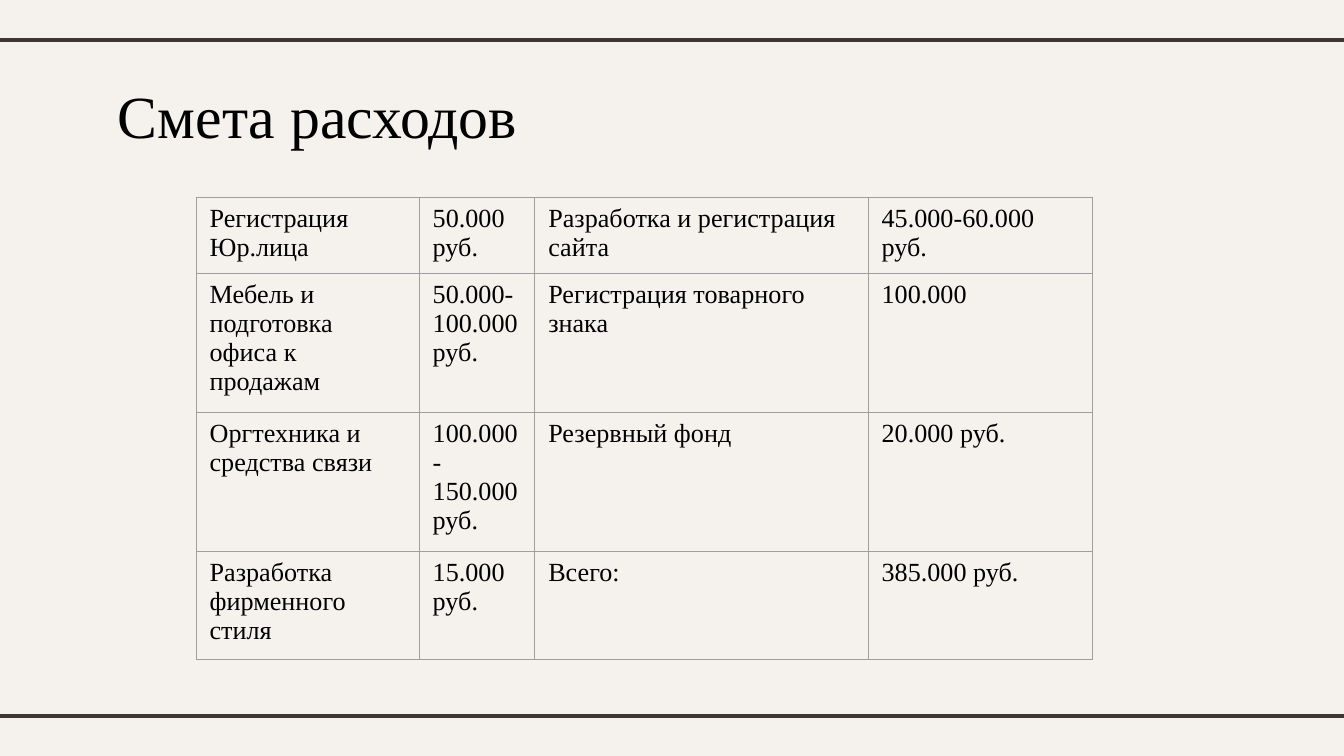
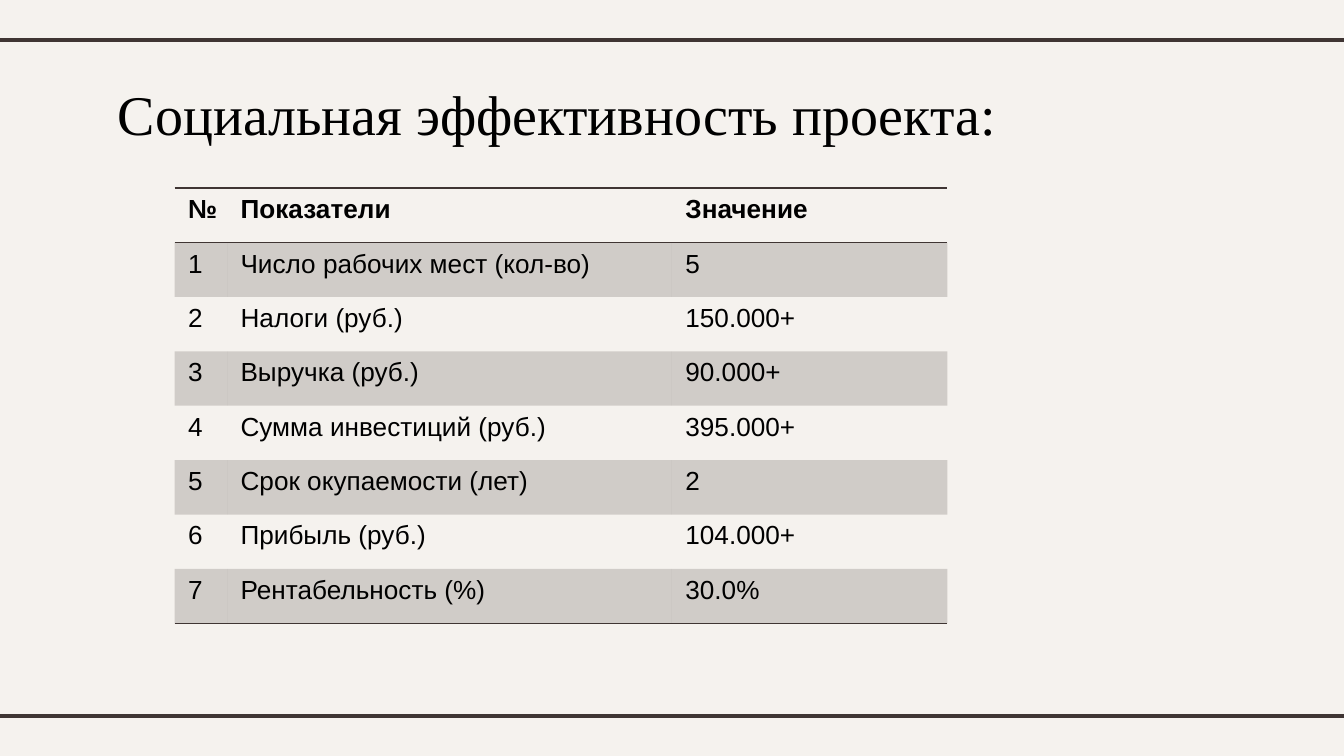
"""Build two slides: the cost estimate and the social effectiveness of the project."""
from dataclasses import dataclass

from lxml.etree import SubElement
from pptx import Presentation
from pptx.dml.color import RGBColor
from pptx.enum.shapes import MSO_CONNECTOR as Connector
from pptx.oxml.ns import qn
from pptx.util import Inches, Pt


@dataclass(frozen=True)
class Theme:
    paper: str = "F5F2EE"
    accent: str = "3F3533"
    grid: str = "9E9E9E"
    ink: str = "000000"
    serif: str = "Times New Roman"
    sans: str = "Arial"
    body_size: int = 14
    rule_width: float = 2.25
    band_opacity: int = 20
    plain_table: str = "{2D5ABB26-0587-4C30-8999-92F81FD0307C}"


THEME = Theme()
WIDTH = 10
HEIGHT = WIDTH * 9 / 16
RULE_TOPS = (0.3, 5.33)
RULE_OVERHANG = 0.08
TITLE_BOX = (0.78, 0.49, 8.44, 0.63)
ROW_HEIGHT = 3.24 / 8

COSTS = {
    "title": "Смета расходов",
    "title_size": 32,
    "box": (1.46, 1.47, 6.67, 3.43),
    "columns": (1.66, 0.86, 2.48, 1.67),
    "font": THEME.serif,
    "ruled": False,
    "rows": [
        ("Регистрация Юр.лица", "50.000 руб.",
         "Разработка и регистрация сайта", "45.000-60.000 руб."),
        ("Мебель и подготовка офиса к продажам", "50.000-100.000 руб.",
         "Регистрация товарного знака", "100.000"),
        ("Оргтехника и средства связи", "100.000-150.000 руб.",
         "Резервный фонд", "20.000 руб."),
        ("Разработка фирменного стиля", "15.000 руб.",
         "Всего:", "385.000 руб."),
    ],
}

EFFECTIVENESS = {
    "title": "Социальная эффективность проекта:",
    "title_size": 30,
    "box": (1.3, 1.4, 5.75, 3.24),
    "columns": (0.39, 3.31, 2.05),
    "font": THEME.sans,
    "ruled": True,
    "rows": [
        ("№", "Показатели", "Значение"),
        ("1", "Число рабочих мест (кол-во)", "5"),
        ("2", "Налоги (руб.)", "150.000+"),
        ("3", "Выручка (руб.)", "90.000+"),
        ("4", "Сумма инвестиций (руб.)", "395.000+"),
        ("5", "Срок окупаемости (лет)", "2"),
        ("6", "Прибыль (руб.)", "104.000+"),
        ("7", "Рентабельность (%)", "30.0%"),
    ],
}


def style_text(paragraph, font_name, size, bold=False):
    font = paragraph.font
    font.name, font.size, font.bold = font_name, Pt(size), bold
    font.color.rgb = RGBColor.from_string(THEME.ink)


def add_rules(slide):
    for top in RULE_TOPS:
        rule = slide.shapes.add_connector(
            Connector.STRAIGHT, Inches(-RULE_OVERHANG), Inches(top),
            Inches(WIDTH + RULE_OVERHANG), Inches(top))
        rule.line.color.rgb = RGBColor.from_string(THEME.accent)
        rule.line.width = Pt(THEME.rule_width)
        SubElement(rule.element.spPr, qn("a:effectLst"))


def add_title(slide, title, size):
    frame = slide.shapes.add_textbox(*map(Inches, TITLE_BOX)).text_frame
    frame.word_wrap = True
    frame.margin_left = frame.margin_right = Inches(0.1)
    frame.margin_top = frame.margin_bottom = Inches(0.1)
    frame.text = title
    style_text(frame.paragraphs[0], THEME.serif, size)


def set_borders(cell, sides, color, width):
    properties = cell._tc.get_or_add_tcPr()
    for side in sides:
        border = SubElement(properties, qn(f"a:ln{side}"), w=str(Pt(width)))
        fill = SubElement(border, qn("a:solidFill"))
        SubElement(fill, qn("a:srgbClr"), val=color)


def fill_band(cell):
    cell.fill.solid()
    cell.fill.fore_color.rgb = RGBColor.from_string(THEME.accent)
    for color in cell._tc.tcPr.find(qn("a:solidFill")):
        SubElement(color, qn("a:alpha"), val=str(THEME.band_opacity * 1000))


def style_cell(cell, row, last_row, content):
    header = content["ruled"] and row == 0
    style_text(cell.text_frame.paragraphs[0], content["font"],
               THEME.body_size, bold=header)
    if not content["ruled"]:
        set_borders(cell, "LRTB", THEME.grid, 0.75)
    elif header:
        set_borders(cell, "TB", THEME.accent, 1)
    elif row == last_row:
        set_borders(cell, "B", THEME.accent, 1)
    if content["ruled"] and row % 2:
        fill_band(cell)
    else:
        cell.fill.background()


def add_figures(slide, content):
    rows, columns = content["rows"], content["columns"]
    frame = slide.shapes.add_table(
        len(rows), len(columns), *map(Inches, content["box"]))
    table = frame.table
    table.first_row = content["ruled"]
    table.horz_banding = content["ruled"]
    for style in frame.element.iter(qn("a:tableStyleId")):
        style.text = THEME.plain_table
    for column, width in zip(table.columns, columns):
        column.width = Inches(width)
    for row, entries in enumerate(rows):
        table.rows[row].height = Inches(ROW_HEIGHT)
        for column, entry in enumerate(entries):
            cell = table.cell(row, column)
            cell.text = entry
            style_cell(cell, row, len(rows) - 1, content)
    frame.height = Inches(content["box"][3])


def main():
    deck = Presentation()
    deck.slide_width, deck.slide_height = Inches(WIDTH), Inches(HEIGHT)
    for content in (COSTS, EFFECTIVENESS):
        slide = deck.slides.add_slide(deck.slide_layouts[6])
        slide.background.fill.solid()
        slide.background.fill.fore_color.rgb = RGBColor.from_string(THEME.paper)
        add_rules(slide)
        add_title(slide, content["title"], content["title_size"])
        add_figures(slide, content)
    deck.save("out.pptx")


if __name__ == "__main__":
    main()
